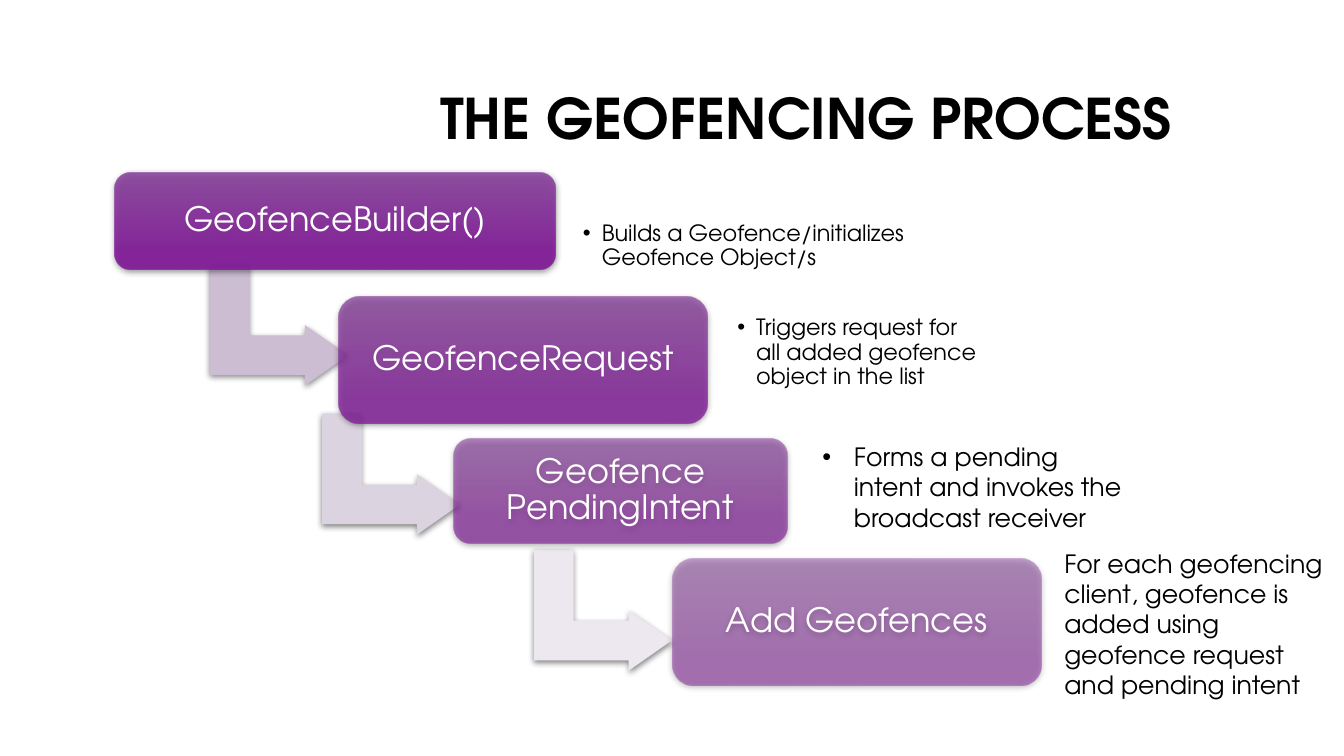
"""Build the geofencing process slide: four steps joined by bent arrows."""
from lxml.etree import SubElement as Sub
from pptx import Presentation
from pptx.dml.color import RGBColor as RGB
from pptx.enum.shapes import MSO_SHAPE as Shape
from pptx.enum.text import MSO_ANCHOR as Anchor, MSO_AUTO_SIZE as Fit, PP_ALIGN as Align
from pptx.oxml.ns import qn
from pptx.util import Pt

HUES = {"ink": "000000", "text": "FFFFFF", "top": "8D48A0", "base": "831C9A"}
FONT = "TeX Gyre Adventor"


def write(shape, text, size=18, hue="ink", bold=False, align=Align.LEFT,
          anchor=Anchor.MIDDLE, space=0.9, pad=None, dent=0):
    frame = shape.text_frame
    frame.word_wrap = True
    frame.auto_size = Fit.NONE
    frame.vertical_anchor = anchor
    if pad is not None:
        frame.margin_left = frame.margin_right = Pt(pad)
        frame.margin_top = frame.margin_bottom = Pt(pad)
    para = frame.paragraphs[0]
    para.alignment = align
    para.line_spacing = space
    run = para.add_run()
    run.text = text
    font = run.font
    font.name, font.size, font.bold = FONT, Pt(size), bold
    font.color.rgb = RGB.from_string(HUES[hue])
    if dent:
        props = para._p.get_or_add_pPr()
        props.set("marL", str(Pt(dent)))
        props.set("indent", str(-Pt(dent)))
        Sub(props, qn("a:buFont"), typeface="Arial")
        Sub(props, qn("a:buChar"), char="•")


def shade(shape):
    shape.line.fill.background()
    shape.shadow.inherit = False
    glow = shape.element.spPr.find(qn("a:effectLst"))
    cast = Sub(glow, qn("a:outerShdw"), blurRad=str(Pt(4.5)), dist=str(Pt(1.5)),
               dir="5400000", algn="ctr", rotWithShape="0")
    tone = Sub(cast, qn("a:srgbClr"), val=HUES["ink"])
    Sub(tone, qn("a:alpha"), val="48000")


deck = Presentation()
deck.slide_width, deck.slide_height = Pt(960), Pt(540)
slide = deck.slides.add_slide(deck.slide_layouts[5])
shapes = slide.shapes

title = shapes.title
title.left, title.top, title.width, title.height = map(Pt, (166.3, 50.4, 678.2, 72.7))
write(title, "THE GEOFENCING PROCESS", size=40, bold=True, align=Align.RIGHT)

steps = [
    ("GeofenceBuilder()", (82.1, 123.1, 314.6, 69.1), 90, (156.2, 182.9), "CCBDD2"),
    ("GeofenceRequest", (241.9, 211.7, 263.5, 90.7), 77, (236.2, 289.4), "DCD3E0"),
    ("Geofence PendingIntent", (324, 313.2, 238.3, 74.9), 63, (387.4, 386.6), "EDE8EF"),
    ("Add Geofences", (480.2, 398.9, 263.5, 90.7), 50, None, None),
]
for name, place, alpha, spot, tint in steps:
    if spot:
        arrow = shapes.add_shape(Shape.BENT_UP_ARROW, *map(Pt, (*spot, 86.4, 98.6)))
        arrow.rotation = 90
        for i, value in enumerate((0.328, 0.25, 0.358)):
            arrow.adjustments[i] = value
        arrow.fill.solid()
        arrow.fill.fore_color.rgb = RGB.from_string(tint)
        shade(arrow)
    box = shapes.add_shape(Shape.ROUNDED_RECTANGLE, *map(Pt, place))
    box.adjustments[0] = 0.167
    box.fill.gradient()
    box.fill.gradient_angle = 270
    for stop, hue, spot in zip(box.fill.gradient_stops, ("top", "base"), (0, 0.78)):
        stop.color.rgb = RGB.from_string(HUES[hue])
        stop.position = spot
    for tone in box.element.spPr.iter(qn("a:srgbClr")):
        Sub(tone, qn("a:alpha"), val=str(alpha * 1000))
    shade(box)
    write(box, name, size=24, hue="text", align=Align.CENTER, pad=7.2)

small = dict(size=16, pad=6, dent=13.5)
large = dict(space=1, anchor=Anchor.TOP)
notes = [
    ("Builds a Geofence/initializes Geofence Object/s",
     (410.4, 123.1, 250.6, 105.8), small),
    ("Triggers request for all added geofence object in the list",
     (520.6, 212.4, 183.6, 79.2), small),
    ("Forms a pending intent and invokes the broadcast receiver",
     (580.3, 311.8, 234, 72.7), dict(large, dent=22.5)),
    ("For each geofencing client, geofence is added using geofence request "
     "and pending intent", (753.1, 388.1, 207.4, 116.6), large),
]
for text, place, style in notes:
    write(shapes.add_textbox(*map(Pt, place)), text, **style)

deck.save("out.pptx")
